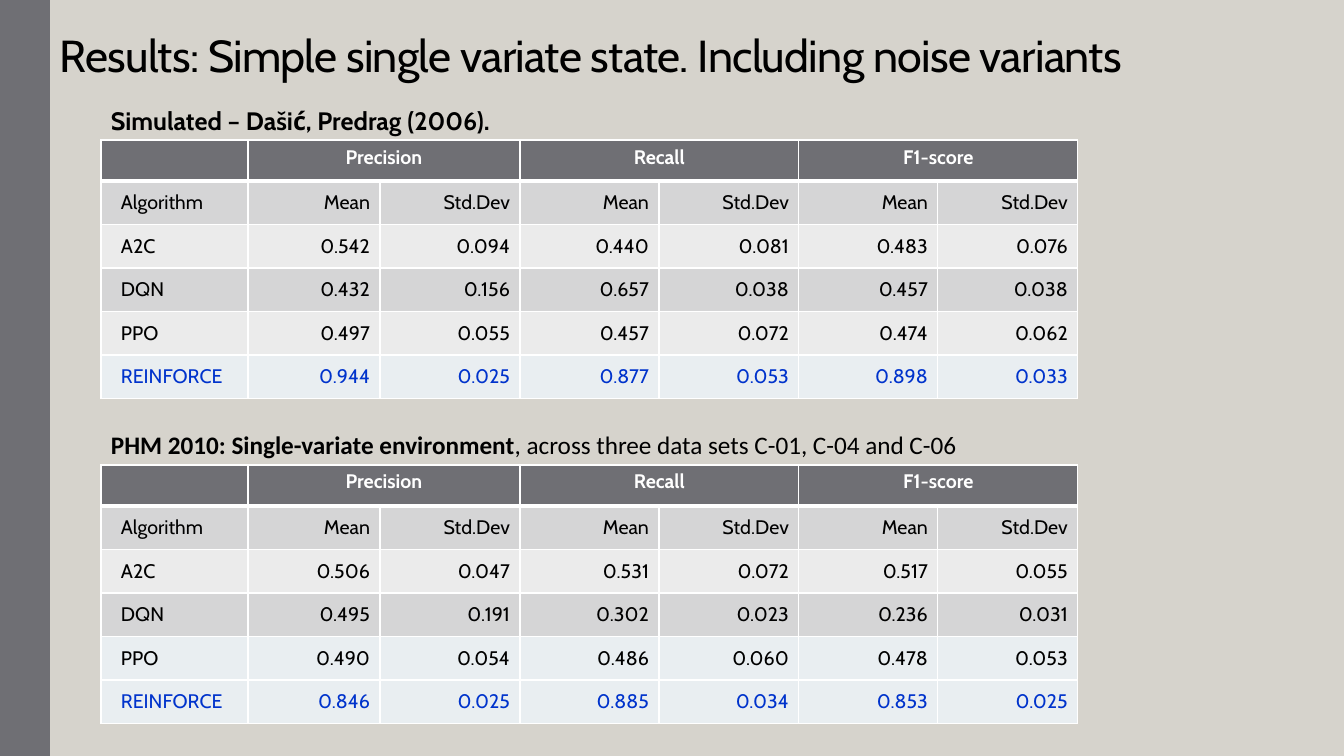
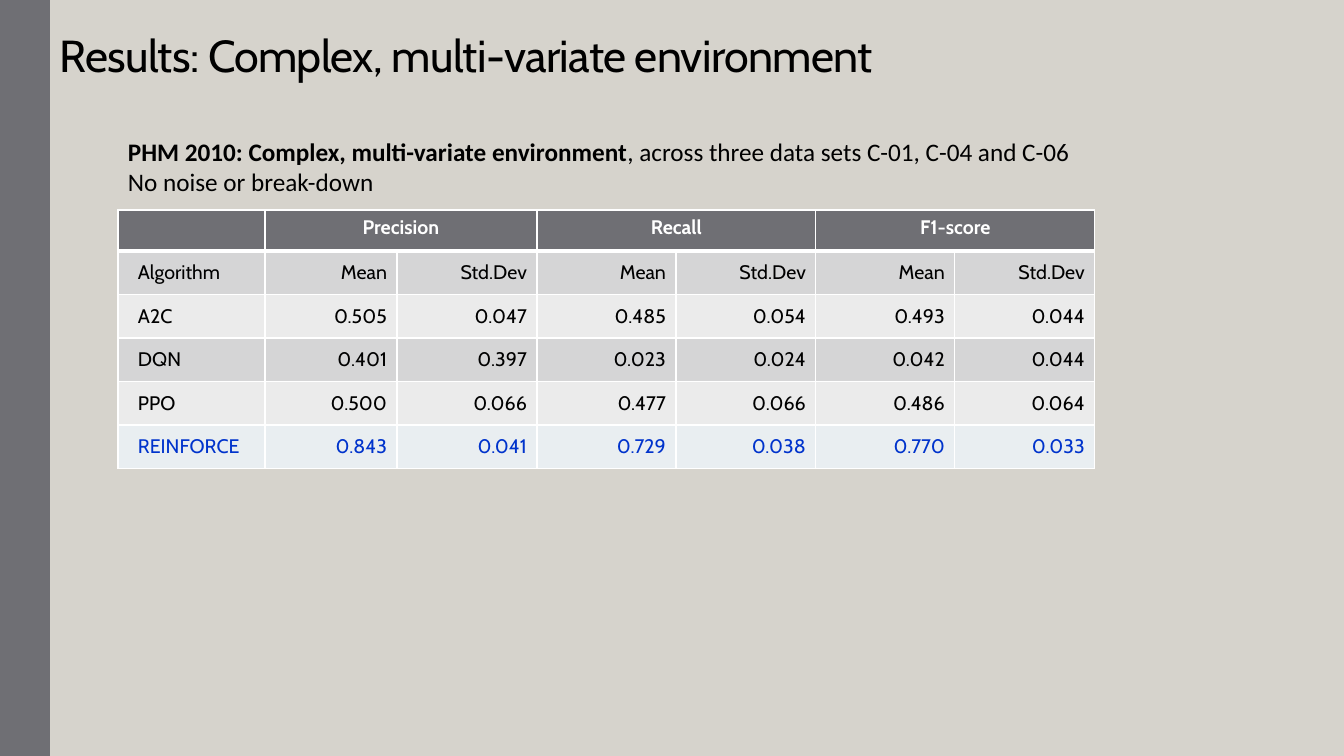
from lxml import etree
from pptx import Presentation
from pptx.dml.color import RGBColor
from pptx.enum import shapes, text
from pptx.oxml.ns import qn
from pptx import util as u

PX = 914400 / 100.8
COLORS = {
    "page": "D6D3CC", "band": "6F6F74", "ink": "000000", "white": "FFFFFF",
    "dark row": "D5D5D6", "light row": "EBEBEB", "best row": "E9EEF1", "best": "0033CC",
}
COLUMNS = [147, 132, 140, 139, 140, 139, 140]
ROW_HEIGHT, TABLE_HEIGHT = 41, 259
MEASURES = ["Precision", "Recall", "F1-score"]
HEADINGS = ["Algorithm"] + ["Mean", "Std.Dev"] * len(MEASURES)
ALIGN = text.PP_ALIGN
DATA_SETS = (", across three data sets C-01, C-04 and C-06", False)

# Each result: left, caption top, caption width and height, table top,
# caption font, caption paragraphs, names of rows with a pale fill, scores.
SLIDES = [
    ("Results: Simple single variate state. Including noise variants", [
        (101, 100, 672, 40, 140, "Cabin",
         [[("Simulated – Dašić, Predrag (2006).", True)]], ["REINFORCE"],
         [["A2C", "0.542", "0.094", "0.440", "0.081", "0.483", "0.076"],
          ["DQN", "0.432", "0.156", "0.657", "0.038", "0.457", "0.038"],
          ["PPO", "0.497", "0.055", "0.457", "0.072", "0.474", "0.062"],
          ["REINFORCE", "0.944", "0.025", "0.877", "0.053", "0.898", "0.033"]]),
        (101, 424, 949, 40, 465, "Calibri",
         [[("PHM 2010: Single-variate environment", True), DATA_SETS]], ["PPO", "REINFORCE"],
         [["A2C", "0.506", "0.047", "0.531", "0.072", "0.517", "0.055"],
          ["DQN", "0.495", "0.191", "0.302", "0.023", "0.236", "0.031"],
          ["PPO", "0.490", "0.054", "0.486", "0.060", "0.478", "0.053"],
          ["REINFORCE", "0.846", "0.025", "0.885", "0.034", "0.853", "0.025"]]),
    ]),
    ("Results: Complex, multi-variate environment", [
        (118, 131, 977, 72, 210, "Calibri",
         [[("PHM 2010: Complex, multi-variate environment", True), DATA_SETS],
          [("No noise or break-down", False)]], ["REINFORCE"],
         [["A2C", "0.505", "0.047", "0.485", "0.054", "0.493", "0.044"],
          ["DQN", "0.401", "0.397", "0.023", "0.024", "0.042", "0.044"],
          ["PPO", "0.500", "0.066", "0.477", "0.066", "0.486", "0.064"],
          ["REINFORCE", "0.843", "0.041", "0.729", "0.038", "0.770", "0.033"]]),
    ]),
]


def px(*lengths):
    """Turn pixel lengths into a list of EMU lengths."""
    return [u.Emu(round(length * PX)) for length in lengths]


def write(frame, paragraphs, size=14, font="Cabin", color="ink", align=ALIGN.LEFT,
          line_spacing=None, tracking=None):
    """Fill a text frame with paragraphs, each a list of (words, bold) runs."""
    frame.word_wrap = True
    for index, runs in enumerate(paragraphs):
        paragraph = frame.add_paragraph() if index else frame.paragraphs[0]
        paragraph.alignment = align
        if line_spacing:
            paragraph.line_spacing = line_spacing
        for words, bold in runs:
            run = paragraph.add_run()
            run.text = words
            run.font.size, run.font.name, run.font.bold = u.Pt(size), font, bold
            run.font.color.rgb = RGBColor.from_string(COLORS[color])
            if tracking:
                run._r.get_or_add_rPr().set("spc", str(tracking))


deck = Presentation()
deck.slide_width, deck.slide_height = px(1344, 756)
backdrop = deck.slide_master.background.fill
backdrop.solid()
backdrop.fore_color.rgb = RGBColor.from_string(COLORS["page"])

for heading, results in SLIDES:
    slide = deck.slides.add_slide(deck.slide_layouts[6])
    title = slide.shapes.add_textbox(*px(50, 0, 1176, 87)).text_frame
    title.vertical_anchor = text.MSO_ANCHOR.BOTTOM
    write(title, [[(heading, False)]], size=32, line_spacing=0.85, tracking=-50)

    side_band = slide.shapes.add_shape(shapes.MSO_SHAPE.RECTANGLE, *px(0, 0, 50, 756))
    side_band.shadow.inherit = False
    side_band.fill.solid()
    side_band.fill.fore_color.rgb = RGBColor.from_string(COLORS["band"])
    side_band.line.fill.background()

    for left, top, width, height, table_top, font, caption, pale_rows, scores in results:
        rows = [[""] * len(COLUMNS), HEADINGS] + scores
        for index, measure in enumerate(MEASURES):
            rows[0][1 + 2 * index] = measure

        score_frame = slide.shapes.add_table(
            len(rows), len(COLUMNS), *px(left, table_top, sum(COLUMNS), TABLE_HEIGHT))
        score_table = score_frame.table
        score_table.first_row = score_table.horz_banding = False
        for column, column_width in zip(score_table.columns, px(*COLUMNS)):
            column.width = column_width
        for row in score_table.rows:
            row.height, = px(ROW_HEIGHT)
        score_frame.height, = px(TABLE_HEIGHT)
        for first in range(1, len(COLUMNS), 2):
            score_table.cell(0, first).merge(score_table.cell(0, first + 1))

        for r, values in enumerate(rows):
            is_header = r == 0
            if is_header:
                fill = "band"
            elif values[0] in pale_rows:
                fill = "best row"
            else:
                fill = "dark row" if r % 2 else "light row"
            ink = "white" if is_header else "best" if values[0] == "REINFORCE" else "ink"

            for c, value in enumerate(values):
                cell = score_table.cell(r, c)
                borders = cell._tc.get_or_add_tcPr()
                for side in ("lnL", "lnR", "lnT", "lnB"):
                    under_header = (r, side) in [(0, "lnB"), (1, "lnT")]
                    line = etree.SubElement(borders, qn("a:" + side),
                                            w=str(u.Pt(3 if under_header else 1)))
                    paint = etree.SubElement(line, qn("a:solidFill"))
                    etree.SubElement(paint, qn("a:srgbClr"), val=COLORS["white"])
                cell.fill.solid()
                cell.fill.fore_color.rgb = RGBColor.from_string(COLORS[fill])
                if not is_header:
                    cell.vertical_anchor = text.MSO_ANCHOR.BOTTOM
                    cell.margin_left, cell.margin_top, cell.margin_right, cell.margin_bottom = px(
                        20, 10, 10, 10)
                if value:
                    align = ALIGN.CENTER if is_header else ALIGN.RIGHT if c else ALIGN.LEFT
                    write(cell.text_frame, [[(value, is_header)]], color=ink, align=align)

        caption_box = slide.shapes.add_textbox(*px(left, top, width, height))
        write(caption_box.text_frame, caption, size=18, font=font)

deck.save("out.pptx")
